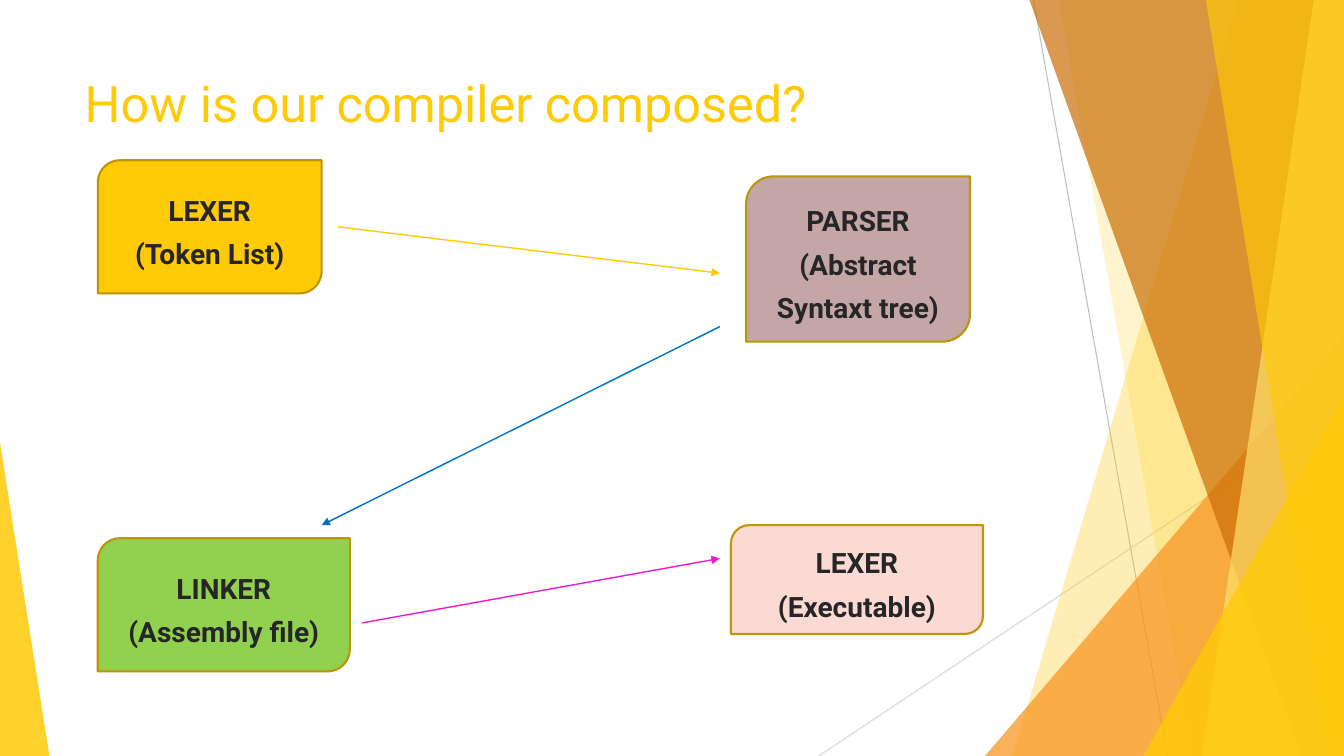
"""Build the slide that shows how the compiler is composed."""
from dataclasses import dataclass

from lxml.etree import SubElement
from pptx import Presentation
from pptx.dml.color import RGBColor
from pptx.enum.shapes import MSO_CONNECTOR, MSO_SHAPE
from pptx.enum.text import MSO_ANCHOR, PP_ALIGN
from pptx.oxml.ns import qn
from pptx.util import Inches, Pt

FONT = "Roboto"
WIDTH, HEIGHT = 13.33, 7.5
GOLD = RGBColor(0xFF, 0xCA, 0x08)
DARK_GOLD = RGBColor(0xBD, 0x95, 0x06)
PALE_GOLD = RGBColor(0xFF, 0xDF, 0x6B)
ORANGE = RGBColor(0xF8, 0x93, 0x1D)
BROWN = RGBColor(0xCA, 0x6F, 0x06)
MAUVE = RGBColor(0xC4, 0xA6, 0xA6)
GREEN = RGBColor(0x92, 0xD0, 0x50)
PINK = RGBColor(0xFA, 0xDA, 0xD3)
BLUE = RGBColor(0x00, 0x70, 0xC0)
MAGENTA = RGBColor(0xED, 0x1B, 0xCF)
INK = RGBColor(0x26, 0x26, 0x26)
GREY = RGBColor(0xBF, 0xBF, 0xBF)
LIGHT_GREY = RGBColor(0xD9, 0xD9, 0xD9)


@dataclass(frozen=True)
class Line:
    start: tuple[float, float]
    end: tuple[float, float]
    color: RGBColor
    weight: float = 1
    arrow: bool = True


@dataclass(frozen=True)
class Band:
    top_left: float
    bottom_left: float
    color: RGBColor
    opacity: int


@dataclass(frozen=True)
class Corner:
    left: float
    top: float
    width: float
    apex: float
    color: RGBColor
    opacity: int


@dataclass(frozen=True)
class Stage:
    lines: tuple[str, str]
    left: float
    top: float
    width: float
    height: float
    color: RGBColor


BACKDROP_LINES = (
    Line((10.25, 0), (11.58, HEIGHT), GREY, 0.75, False),
    Line((WIDTH, 4.03), (8.12, HEIGHT), LIGHT_GREY, 0.75, False),
)
FACETS = (
    Band(12.28, 10.04, GOLD, 30),
    Band(10.5, 11.83, GOLD, 20),
    Corner(9.77, 3.33, 3.56, 1, ORANGE, 72),
    Band(10.21, 12.91, BROWN, 70),
    Band(13.03, 11.92, PALE_GOLD, 70),
    Band(11.96, 13.18, GOLD, 65),
    Corner(11.34, 3.93, 1.99, 1, GOLD, 80),
    Corner(0, 4.39, 0.49, 0, GOLD, 85),
)
STAGES = (
    Stage(("LEXER", "(Token List)"), 0.97, 1.59, 2.22, 1.32, GOLD),
    Stage(("PARSER", "(Abstract Syntaxt tree)"), 7.4, 1.75, 2.22, 1.64, MAUVE),
    Stage(("LINKER", "(Assembly file)"), 0.97, 5.34, 2.5, 1.32, GREEN),
    Stage(("LEXER", "(Executable)"), 7.25, 5.21, 2.5, 1.08, PINK),
)
ARROWS = (
    Line((3.35, 2.25), (7.14, 2.71), GOLD),
    Line((7.14, 3.24), (3.19, 5.21), BLUE),
    Line((3.59, 6.18), (7.14, 5.54), MAGENTA),
)


def write_text(shape, *lines: str, size: float, color: RGBColor, bold: bool = False,
               align=PP_ALIGN.LEFT, anchor=MSO_ANCHOR.TOP, spacing: float = 1.0) -> None:
    frame = shape.text_frame
    frame.word_wrap = True
    frame.vertical_anchor = anchor
    frame.text = "\n".join(lines)
    for paragraph in frame.paragraphs:
        paragraph.alignment = align
        paragraph.line_spacing = spacing
        font = paragraph.runs[0].font
        font.name, font.size, font.bold = FONT, Pt(size), bold
        font.color.rgb = color


def place(shape, left: float, top: float, width: float, height: float) -> None:
    shape.left, shape.top = Inches(left), Inches(top)
    shape.width, shape.height = Inches(width), Inches(height)


def draw_line(slide, line: Line) -> None:
    connector = slide.shapes.add_connector(
        MSO_CONNECTOR.STRAIGHT, *map(Inches, line.start + line.end))
    connector.line.color.rgb = line.color
    connector.line.width = Pt(line.weight)
    properties = connector._element.spPr
    if line.arrow:
        SubElement(properties.find(qn("a:ln")), qn("a:tailEnd"), type="triangle")
    SubElement(properties, qn("a:effectLst"))


def draw_facet(slide, facet: Band | Corner) -> None:
    if isinstance(facet, Band):
        builder = slide.shapes.build_freeform(Inches(facet.top_left), 0)
        outline = ((WIDTH, 0), (WIDTH, HEIGHT), (facet.bottom_left, HEIGHT))
        builder.add_line_segments([(Inches(x), Inches(y)) for x, y in outline])
        shape = builder.convert_to_shape()
    else:
        shape = slide.shapes.add_shape(
            MSO_SHAPE.ISOSCELES_TRIANGLE, Inches(facet.left), Inches(facet.top),
            Inches(facet.width), Inches(HEIGHT - facet.top))
        shape.adjustments[0] = facet.apex
    shape.shadow.inherit = False
    shape.fill.solid()
    shape.fill.fore_color.rgb = facet.color
    shape.line.fill.background()
    color = shape._element.spPr.find(f"{qn('a:solidFill')}/{qn('a:srgbClr')}")
    SubElement(color, qn("a:alpha"), val=str(facet.opacity * 1000))


def draw_stage(slide, stage: Stage) -> None:
    shape = slide.shapes.add_shape(
        MSO_SHAPE.ROUND_2_DIAG_RECTANGLE, Inches(stage.left), Inches(stage.top),
        Inches(stage.width), Inches(stage.height))
    shape.shadow.inherit = False
    shape.fill.solid()
    shape.fill.fore_color.rgb = stage.color
    shape.line.color.rgb = DARK_GOLD
    shape.line.width = Pt(1.5)
    write_text(shape, *stage.lines, size=20, color=INK, bold=True,
               align=PP_ALIGN.CENTER, anchor=MSO_ANCHOR.MIDDLE, spacing=1.3)


def main() -> None:
    presentation = Presentation()
    presentation.slide_width = Inches(WIDTH)
    presentation.slide_height = Inches(HEIGHT)
    slide = presentation.slides.add_slide(presentation.slide_layouts[5])
    title = slide.shapes.title
    place(title, 0.74, 0.67, 9.4, 1.44)
    write_text(title, "How is our compiler composed?", size=36, color=GOLD)
    for line in BACKDROP_LINES:
        draw_line(slide, line)
    for facet in FACETS:
        draw_facet(slide, facet)
    for stage in STAGES:
        draw_stage(slide, stage)
    for arrow in ARROWS:
        draw_line(slide, arrow)
    presentation.save("out.pptx")


if __name__ == "__main__":
    main()
